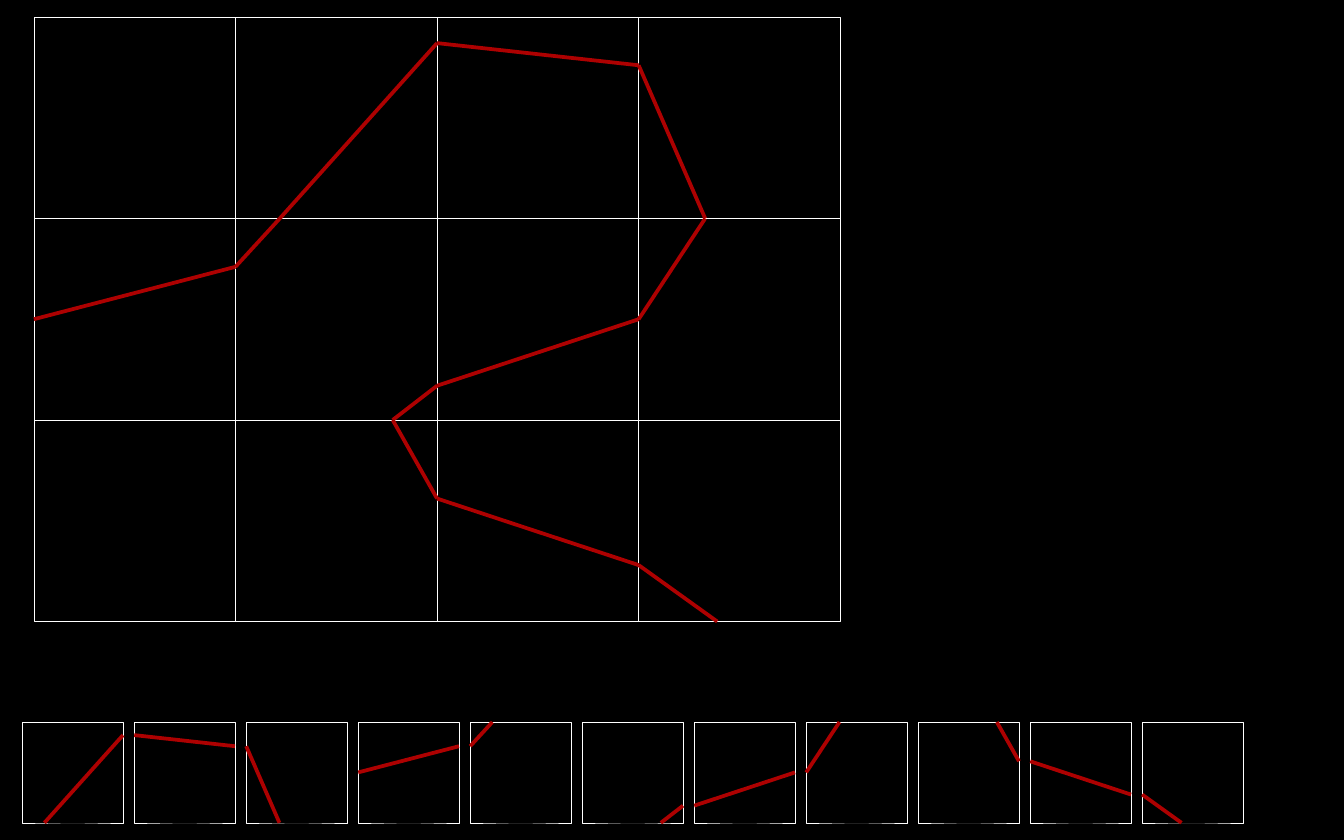
from dataclasses import dataclass
from itertools import pairwise
from math import floor

from lxml.etree import SubElement
from pptx import Presentation
from pptx.dml.color import RGBColor
from pptx.enum.shapes import MSO_CONNECTOR, MSO_SHAPE
from pptx.oxml.ns import qn
from pptx.shapes.shapetree import _BaseGroupShapes as Shapes
from pptx.util import Cm, Pt

COLORS = {"back": "000000", "grid": "FFFFFF", "path": "AD0101"}
COLS, ROWS = 4, 3
CELL = 3.81  # cm
LEFT, TOP = 0.64, 0.32
TILE = CELL / 2
STEP = TILE / 0.9
STRIP_LEFT, STRIP_TOP = 0.42, 13.65


@dataclass(frozen=True)
class Point:
    """A place on the grid, counted in cells."""
    x: float
    y: float


@dataclass(frozen=True)
class Piece:
    """The part of the path that crosses one cell."""
    start: Point
    end: Point

    @property
    def cell(self) -> tuple[int, int]:
        """Row and column of the cell."""
        return (floor((self.start.y + self.end.y) / 2),
                floor((self.start.x + self.end.x) / 2))


PATH = [
    Point(0, 1.5), Point(1, 1.24), Point(1.22, 1), Point(2, 0.13),
    Point(3, 0.24), Point(3.33, 1), Point(3, 1.5), Point(2, 1.83),
    Point(1.78, 2), Point(2, 2.39), Point(3, 2.72), Point(3.39, 3),
]


def color(name: str) -> RGBColor:
    return RGBColor.from_string(COLORS[name])


def draw_box(shapes: Shapes, left: float, top: float, size: float) -> None:
    box = shapes.add_shape(MSO_SHAPE.RECTANGLE, Cm(left), Cm(top), Cm(size), Cm(size))
    box.shadow.inherit = False
    box.fill.background()
    box.line.color.rgb = color("grid")
    box.line.width = Pt(0.25)


def draw_piece(shapes: Shapes, piece: Piece, left: float, top: float, size: float) -> None:
    """Draw a piece with the grid origin at left, top and cells of the given size."""
    ends = [Cm(base + size * value)
            for point in (piece.start, piece.end)
            for base, value in ((left, point.x), (top, point.y))]
    line = shapes.add_connector(MSO_CONNECTOR.STRAIGHT, *ends)
    line.line.color.rgb = color("path")
    line.line.width = Pt(2)
    SubElement(line._element.spPr, qn("a:effectLst"))


def draw_tile(shapes: Shapes, piece: Piece, left: float, top: float) -> None:
    """Draw the cell of a piece alone, at half size."""
    group = shapes.add_group_shape().shapes
    row, col = piece.cell
    draw_box(group, left, top, TILE)
    draw_piece(group, piece, left - col * TILE, top - row * TILE, TILE)


def main() -> None:
    deck = Presentation()
    deck.slide_width, deck.slide_height = Cm(25.4), Cm(15.88)
    slide = deck.slides.add_slide(deck.slide_layouts[6])
    fill = slide.background.fill
    fill.solid()
    fill.fore_color.rgb = color("back")

    for row in range(ROWS):
        for col in range(COLS):
            draw_box(slide.shapes, LEFT + col * CELL, TOP + row * CELL, CELL)

    pieces = [Piece(start, end) for start, end in pairwise(PATH)]
    for piece in pieces:
        draw_piece(slide.shapes, piece, LEFT, TOP, CELL)

    # The strip lists the crossed cells in reading order.
    for index, piece in enumerate(sorted(pieces, key=lambda item: item.cell)):
        draw_tile(slide.shapes, piece, STRIP_LEFT + index * STEP, STRIP_TOP)

    deck.save("out.pptx")


if __name__ == "__main__":
    main()
